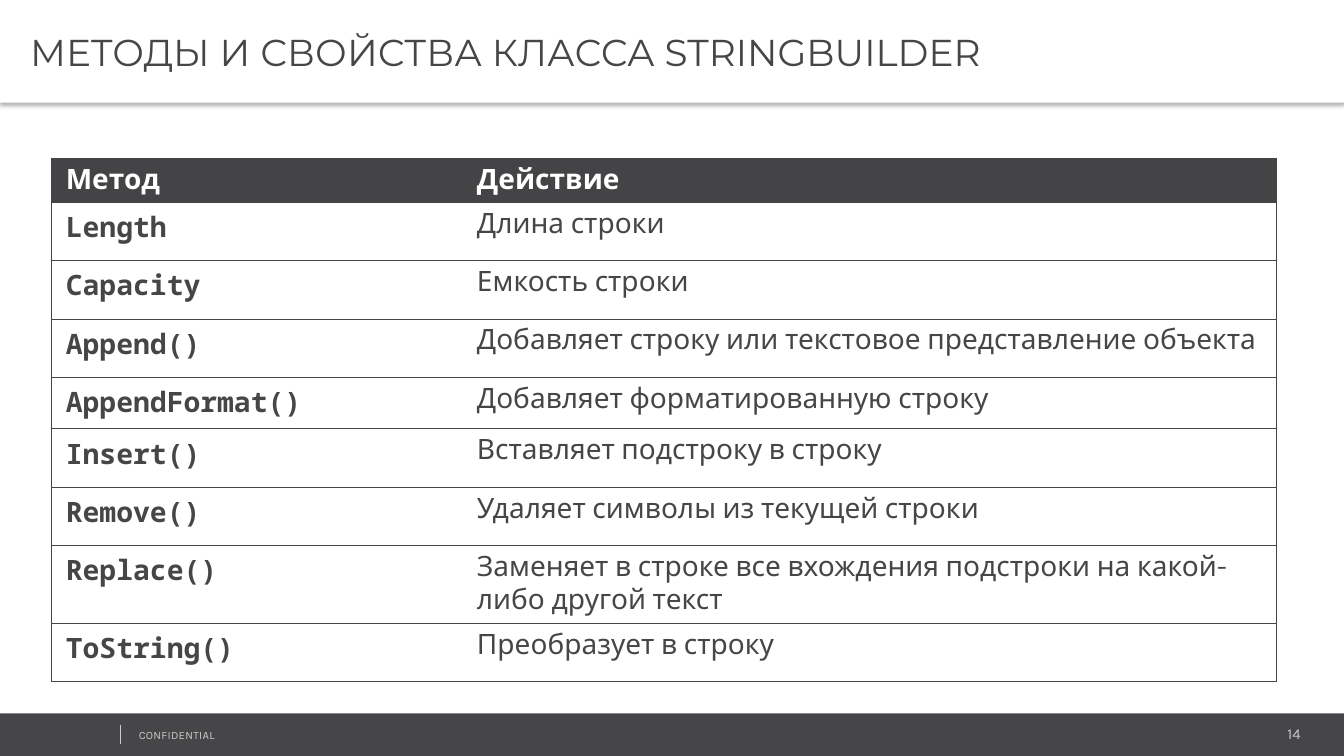
from lxml import etree
from pptx import Presentation
from pptx.dml.color import RGBColor
from pptx.enum import shapes, text
from pptx.oxml import ns
from pptx.util import Cm, Pt

WHITE = RGBColor(0xFF, 0xFF, 0xFF)
DARK = RGBColor(0x46, 0x45, 0x47)
BORDER = RGBColor(0x44, 0x43, 0x45)
PALE = RGBColor(0xCC, 0xCC, 0xCC)

BODY_FONT, CODE_FONT, TITLE_FONT = "Karla", "Noto Sans Mono", "Montserrat"

HEADER = ("Метод", "Действие")
METHODS = [
    ("Length", "Длина строки"),
    ("Capacity", "Емкость строки"),
    ("Append()", "Добавляет строку или текстовое представление объекта"),
    ("AppendFormat()", "Добавляет форматированную строку"),
    ("Insert()", "Вставляет подстроку в строку"),
    ("Remove()", "Удаляет символы из текущей строки"),
    ("Replace()", "Заменяет в строке все вхождения подстроки на какой-либо другой текст"),
    ("ToString()", "Преобразует в строку"),
]


def add_xml(parent, tag, **attrs):
    el = etree.SubElement(parent, ns.qn(tag))
    for name, value in attrs.items():
        el.set(name, str(value))
    return el


def add_run(tf, content, font, size, color, bold=False):
    r = tf.paragraphs[0].add_run()
    r.text = content
    r.font.name, r.font.size, r.font.bold = font, Pt(size), bold
    r.font.color.rgb = color
    return r


def add_rect(slide, left, top, width, height, fill):
    sp = slide.shapes.add_shape(
        shapes.MSO_SHAPE.RECTANGLE, Cm(left), Cm(top), Cm(width), Cm(height))
    sp.fill.solid()
    sp.fill.fore_color.rgb = fill
    sp.line.fill.background()
    sp.shadow.inherit = False
    return sp


def add_label(slide, left, top, width, height, content, size):
    box = slide.shapes.add_textbox(Cm(left), Cm(top), Cm(width), Cm(height))
    box.text_frame.word_wrap = True
    r = add_run(box.text_frame, content, BODY_FONT, size, PALE)
    return box.text_frame.paragraphs[0], r


def add_title_bar(slide, left, top, width, height, title):
    sp = add_rect(slide, left, top, width, height, WHITE)
    # Soft shadow below the bar
    effects = sp._element.spPr.find(ns.qn("a:effectLst"))
    shadow = add_xml(effects, "a:outerShdw", blurRad=Pt(3.1), dist=Pt(2),
                     dir=90 * 60000, algn="t", rotWithShape=0)
    add_xml(add_xml(shadow, "a:srgbClr", val="000000"), "a:alpha", val=30000)
    # Title text
    tf = sp.text_frame
    tf.word_wrap = True
    tf.vertical_anchor = text.MSO_ANCHOR.MIDDLE
    tf.margin_left, tf.margin_right = Cm(0.76), Cm(0.18)
    tf.margin_top = tf.margin_bottom = Cm(0.1)
    tf.paragraphs[0].alignment = text.PP_ALIGN.LEFT
    add_run(tf, title, TITLE_FONT, 26.7, DARK)


def set_borders(cell, visible):
    tcPr = cell._tc.get_or_add_tcPr()
    for side in "LRTB":
        ln = add_xml(tcPr, f"a:ln{side}", w=Pt(0.75))
        if side in visible:
            add_xml(add_xml(ln, "a:solidFill"), "a:srgbClr", val=BORDER)
        else:
            add_xml(ln, "a:noFill")


def add_method_table(slide, left, top, width, height):
    rows = [HEADER] + METHODS
    table = slide.shapes.add_table(
        len(rows), 2, Cm(left), Cm(top), Cm(width), Cm(height)).table
    table.horz_banding = False
    method_width = 10.36
    table.columns[0].width = Cm(method_width)
    table.columns[1].width = Cm(width - method_width)
    for i, row in enumerate(rows):
        is_header = i == 0
        row_height = {"Метод": 0.86, "AppendFormat()": 1.3}.get(row[0], 1.47)
        table.rows[i].height = Cm(row_height)
        for j, content in enumerate(row):
            cell = table.cell(i, j)
            cell.margin_left = cell.margin_right = Cm(0.36)
            cell.margin_top = cell.margin_bottom = Cm(0.13)
            set_borders(cell, "LTB" if j == 0 else "RTB")
            cell.fill.solid()
            cell.fill.fore_color.rgb = BORDER if is_header else WHITE
            is_code = j == 0 and not is_header
            add_run(cell.text_frame, content,
                    CODE_FONT if is_code else BODY_FONT, 20,
                    WHITE if is_header else DARK, bold=is_header or is_code)


def add_footer(slide, left, top, width, height, number):
    add_rect(slide, left, top, width, height, DARK)
    # Slide number
    p, r = add_label(slide, left + width - 6.38, top + 0.15, 5.54, 0.71, number, 10.7)
    p.alignment = text.PP_ALIGN.RIGHT
    # Confidentiality mark
    p, r = add_label(slide, left + 3.25, top + 0.25, 8.59, 0.61, "CONFIDENTIAL", 8)
    r._r.get_or_add_rPr().set("spc", "20")
    # Divider
    x = Cm(left + 3.02)
    line = slide.shapes.add_connector(
        shapes.MSO_CONNECTOR.STRAIGHT, x, Cm(top + 0.3), x, Cm(top + 0.76))
    line.line.color.rgb = PALE
    line.line.width = Pt(0.25)
    add_xml(line._element.spPr, "a:effectLst")


def main():
    prs = Presentation()
    prs.slide_width, prs.slide_height = Cm(33.87), Cm(19.05)
    slide = prs.slides.add_slide(prs.slide_layouts[6])
    add_footer(slide, 0, 17.98, 33.87, 1.07, "14")
    add_method_table(slide, 1.3, 3.99, 30.88, 13.11)
    add_title_bar(slide, 0, 0, 33.87, 2.59, "МЕТОДЫ И СВОЙСТВА КЛАССА STRINGBUILDER")
    prs.save("out.pptx")


if __name__ == "__main__":
    main()
